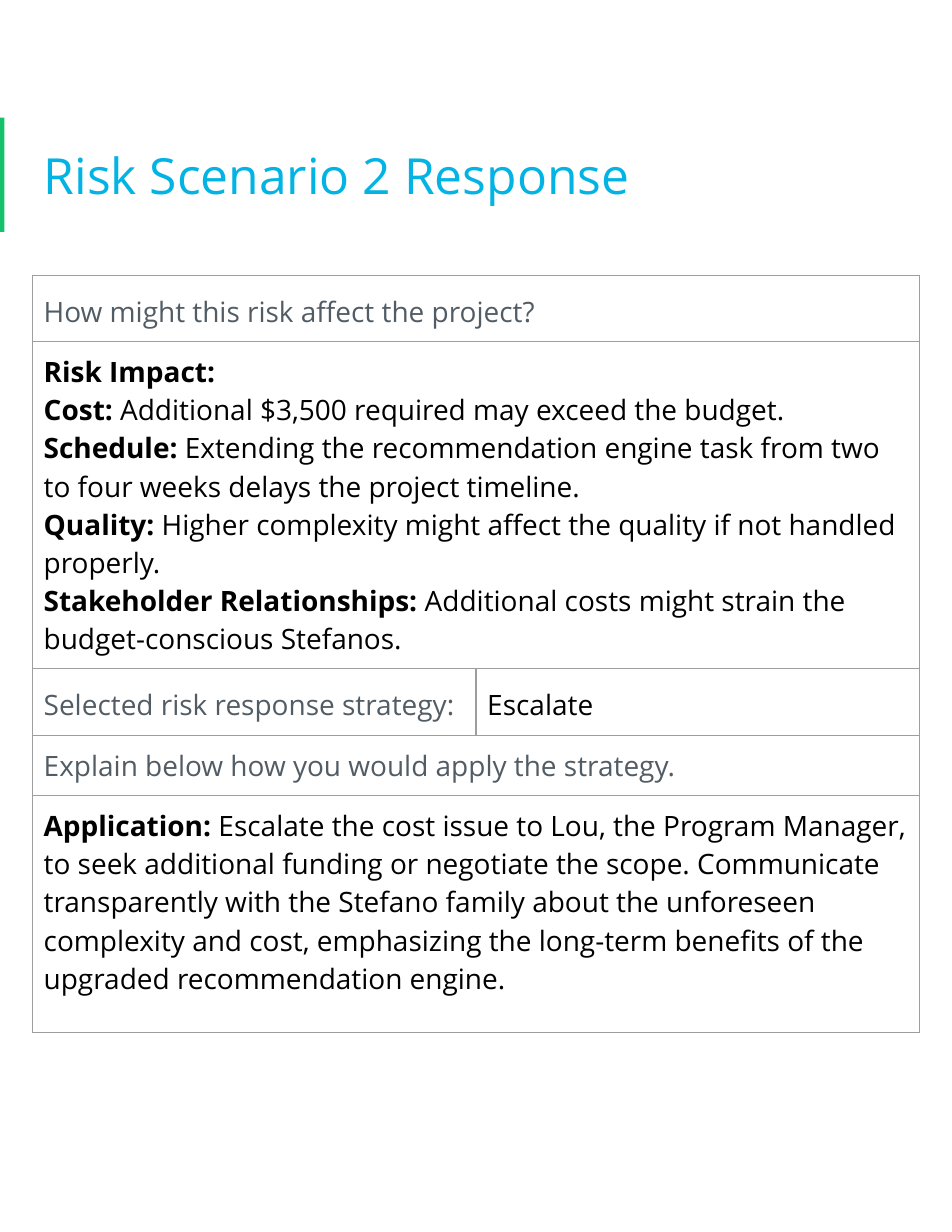
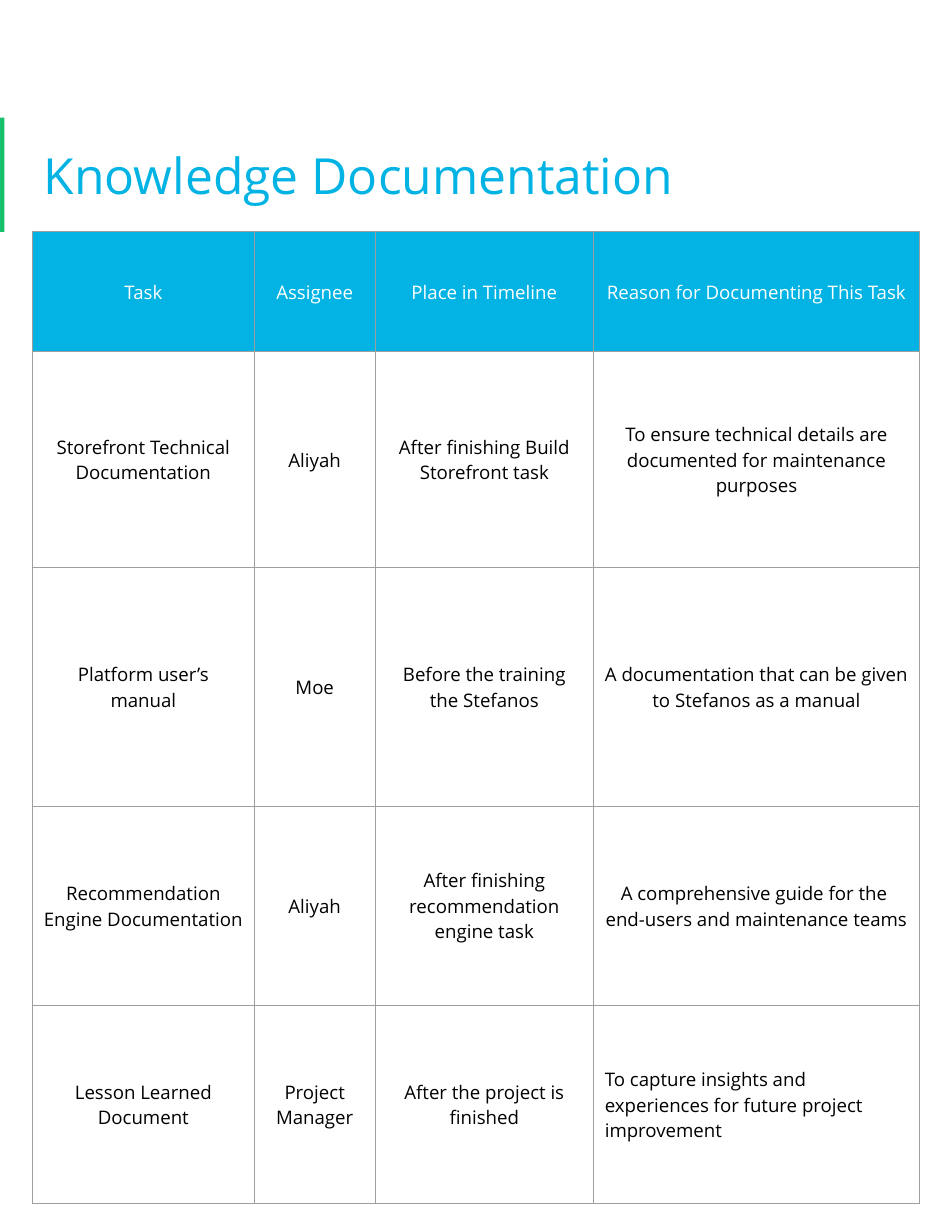
"""Build a risk response slide and a knowledge documentation slide."""
from dataclasses import dataclass
from typing import Any

import pptx
import pptx.dml.color
import pptx.enum.shapes
import pptx.enum.text
import pptx.oxml
import pptx.oxml.ns
import pptx.util

Inches = pptx.util.Inches
Pt = pptx.util.Pt
ALIGN = pptx.enum.text.PP_ALIGN
ANCHOR = pptx.enum.text.MSO_ANCHOR

FONT = "Open Sans"
COLORS = {
    "blue": "02B3E4",
    "green": "15C26B",
    "slate": "525C65",
    "grid": "9E9E9E",
    "black": "000000",
    "white": "FFFFFF",
}
INSETS = {f"margin_{side}": Inches(0.1) for side in ("left", "right", "top", "bottom")}
LEFT, WIDTH = 0.29, 7.92


@dataclass
class Para:
    text: str
    label: str = ""


@dataclass
class CellSpec:
    paras: list[Para]
    color: str = "black"
    size: int = 18
    fill: str = "white"
    align: Any = ALIGN.LEFT
    anchor: Any = ANCHOR.TOP
    spacing: float = 1.0


@dataclass
class TableSpec:
    top: float
    cols: list[float]
    rows: list[float]
    cells: list[list[CellSpec]]


def rgb(name: str) -> pptx.dml.color.RGBColor:
    return pptx.dml.color.RGBColor.from_string(COLORS[name])


def apply(obj: Any, formats: dict[str, Any]) -> None:
    for name, value in formats.items():
        setattr(obj, name, value)


def add_run(p: Any, text: str, size: int, color: str, bold: bool = False) -> None:
    r = p.add_run()
    r.text = text
    apply(r.font, {"name": FONT, "size": Pt(size), "bold": bold})
    r.font.color.rgb = rgb(color)


def add_titled_slide(prs: Any, title: str) -> Any:
    slide = prs.slides.add_slide(prs.slide_layouts[5])
    bar = slide.shapes.add_shape(pptx.enum.shapes.MSO_SHAPE.RECTANGLE,
                                 0, Inches(1.05), Inches(0.04), Inches(1.02))
    bar.shadow.inherit = False
    bar.fill.solid()
    bar.fill.fore_color.rgb = rgb("green")
    bar.line.fill.background()
    sp = slide.shapes.title
    apply(sp, {"left": Inches(LEFT), "top": Inches(0.95),
               "width": Inches(WIDTH), "height": Inches(1.22)})
    tf = sp.text_frame
    apply(tf, INSETS | {"word_wrap": True, "vertical_anchor": ANCHOR.MIDDLE,
                        "auto_size": pptx.enum.text.MSO_AUTO_SIZE.NONE})
    p = tf.paragraphs[0]
    p.alignment = ALIGN.LEFT
    add_run(p, title, 32, "blue")
    return slide


def set_borders(cell: Any) -> None:
    tc_pr = cell._tc.get_or_add_tcPr()
    for side in "LRTB":
        tc_pr.append(pptx.oxml.parse_xml(
            f'<a:ln{side} {pptx.oxml.ns.nsdecls("a")} w="{Pt(0.75)}"><a:solidFill>'
            f'<a:srgbClr val="{COLORS["grid"]}"/></a:solidFill></a:ln{side}>'))


def fill_cell(cell: Any, spec: CellSpec) -> None:
    cell.fill.solid()
    cell.fill.fore_color.rgb = rgb(spec.fill)
    apply(cell, INSETS | {"vertical_anchor": spec.anchor})
    tf = cell.text_frame
    for i, para in enumerate(spec.paras):
        p = tf.add_paragraph() if i else tf.paragraphs[0]
        apply(p, {"alignment": spec.align, "line_spacing": spec.spacing})
        if para.label:
            add_run(p, para.label, spec.size, spec.color, bold=True)
        if para.text:
            add_run(p, para.text, spec.size, spec.color)


def add_grid(slide: Any, spec: TableSpec) -> None:
    table = slide.shapes.add_table(len(spec.rows), len(spec.cols), Inches(LEFT), Inches(spec.top),
                                   Inches(WIDTH), Inches(sum(spec.rows))).table
    apply(table, {"first_row": False, "horz_banding": False})
    for col, width in zip(table.columns, spec.cols):
        col.width = Inches(width)
    for row, height in zip(table.rows, spec.rows):
        row.height = Inches(height)
    for cell in table.iter_cells():
        set_borders(cell)
    for i, row_cells in enumerate(spec.cells):
        if len(row_cells) == 1:
            table.cell(i, 0).merge(table.cell(i, len(spec.cols) - 1))
        for j, cell_spec in enumerate(row_cells):
            fill_cell(table.cell(i, j), cell_spec)


def risk_table() -> TableSpec:
    impact = [
        Para("", "Risk Impact:"),
        Para(" Additional $3,500 required may exceed the budget.", "Cost:"),
        Para(" Extending the recommendation engine task from two to four weeks "
             "delays the project timeline.", "Schedule:"),
        Para(" Higher complexity might affect the quality if not handled properly.", "Quality:"),
        Para(" Additional costs might strain the budget-conscious Stefanos.",
             "Stakeholder Relationships:"),
    ]
    application = Para(
        " Escalate the cost issue to Lou, the Program Manager, to seek additional funding or "
        "negotiate the scope. Communicate transparently with the Stefano family about the "
        "unforeseen complexity and cost, emphasizing the long-term benefits of the upgraded "
        "recommendation engine.", "Application:")
    return TableSpec(2.46, [WIDTH / 2] * 2, [0.59, 2.92, 0.59, 0.54, 2.11], [
        [CellSpec([Para("How might this risk affect the project?")], "slate", spacing=1.15)],
        [CellSpec(impact)],
        [CellSpec([Para("Selected risk response strategy:")], "slate",
                  anchor=ANCHOR.MIDDLE, spacing=1.15),
         CellSpec([Para("Escalate")], spacing=1.15)],
        [CellSpec([Para("Explain below how you would apply the strategy.")], "slate")],
        [CellSpec([application])],
    ])


def knowledge_table() -> TableSpec:
    texts = [
        ["Task", "Assignee", "Place in Timeline", "Reason for Documenting This Task"],
        ["Storefront Technical Documentation", "Aliyah", "After finishing Build Storefront task",
         "To ensure technical details are documented for maintenance purposes"],
        ["Platform user’s manual", "Moe", "Before the training the Stefanos",
         "A documentation that can be given to Stefanos as a manual"],
        ["Recommendation Engine Documentation", "Aliyah",
         "After finishing recommendation engine task",
         "A comprehensive guide for the  end-users and maintenance teams"],
        ["Lesson Learned Document", "Project Manager", "After the project is finished",
         "To capture insights and experiences for future project improvement"],
    ]
    styles = [{"color": "white", "fill": "blue"}] + [{}] * (len(texts) - 1)
    cells = [[CellSpec([Para(text)], size=12, align=ALIGN.CENTER, anchor=ANCHOR.MIDDLE, **style)
              for text in row] for row, style in zip(texts, styles)]
    cells[-1][-1].align = ALIGN.LEFT
    return TableSpec(2.07, [1.98, 1.08, 1.95, 2.91], [1.07, 1.93, 2.13, 1.78, 1.77], cells)


def main() -> None:
    prs = pptx.Presentation()
    apply(prs, {"slide_width": Inches(8.5), "slide_height": Inches(11)})
    for title, spec in (("Risk Scenario 2 Response", risk_table()),
                        ("Knowledge Documentation", knowledge_table())):
        add_grid(add_titled_slide(prs, title), spec)
    prs.save("out.pptx")


if __name__ == "__main__":
    main()
